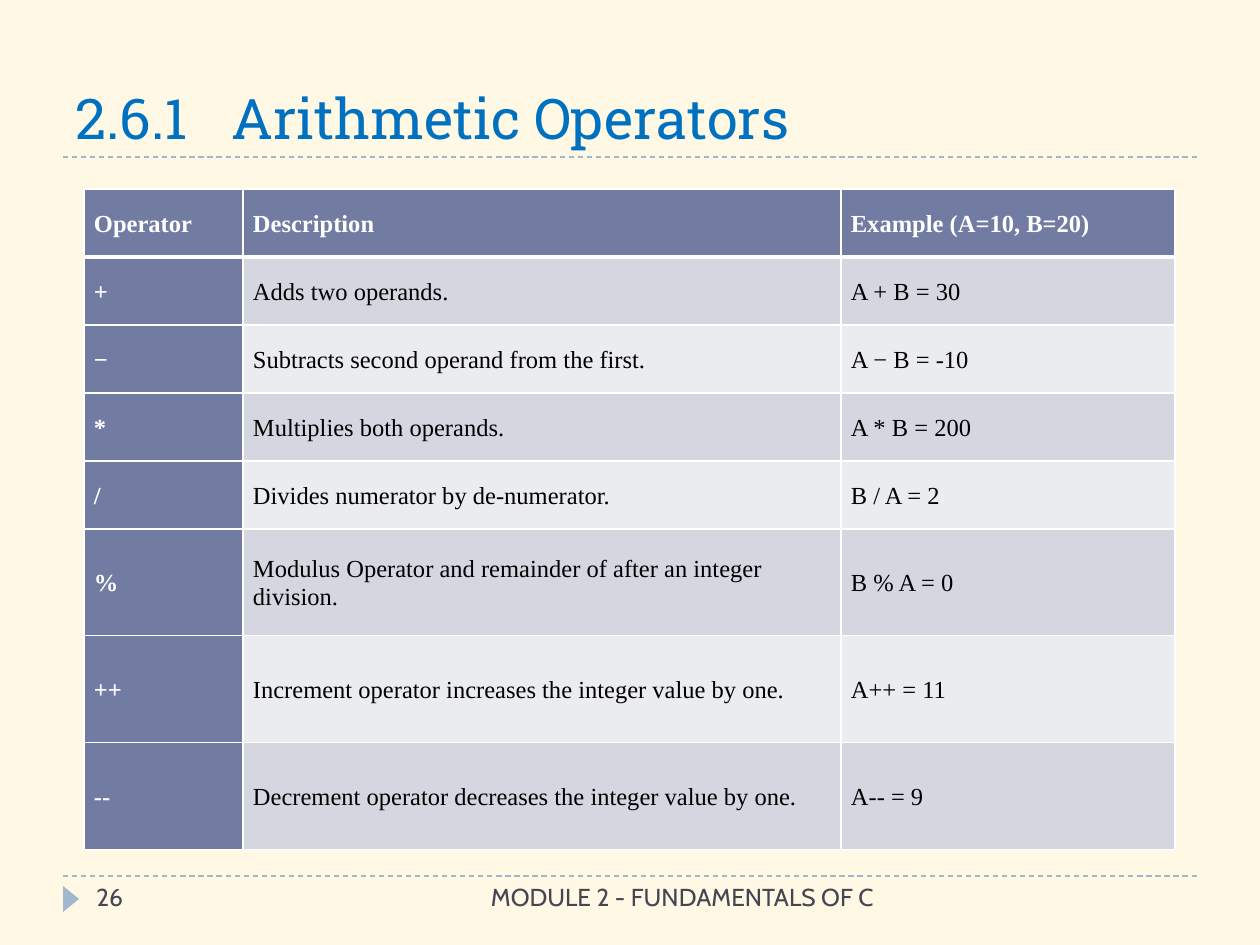
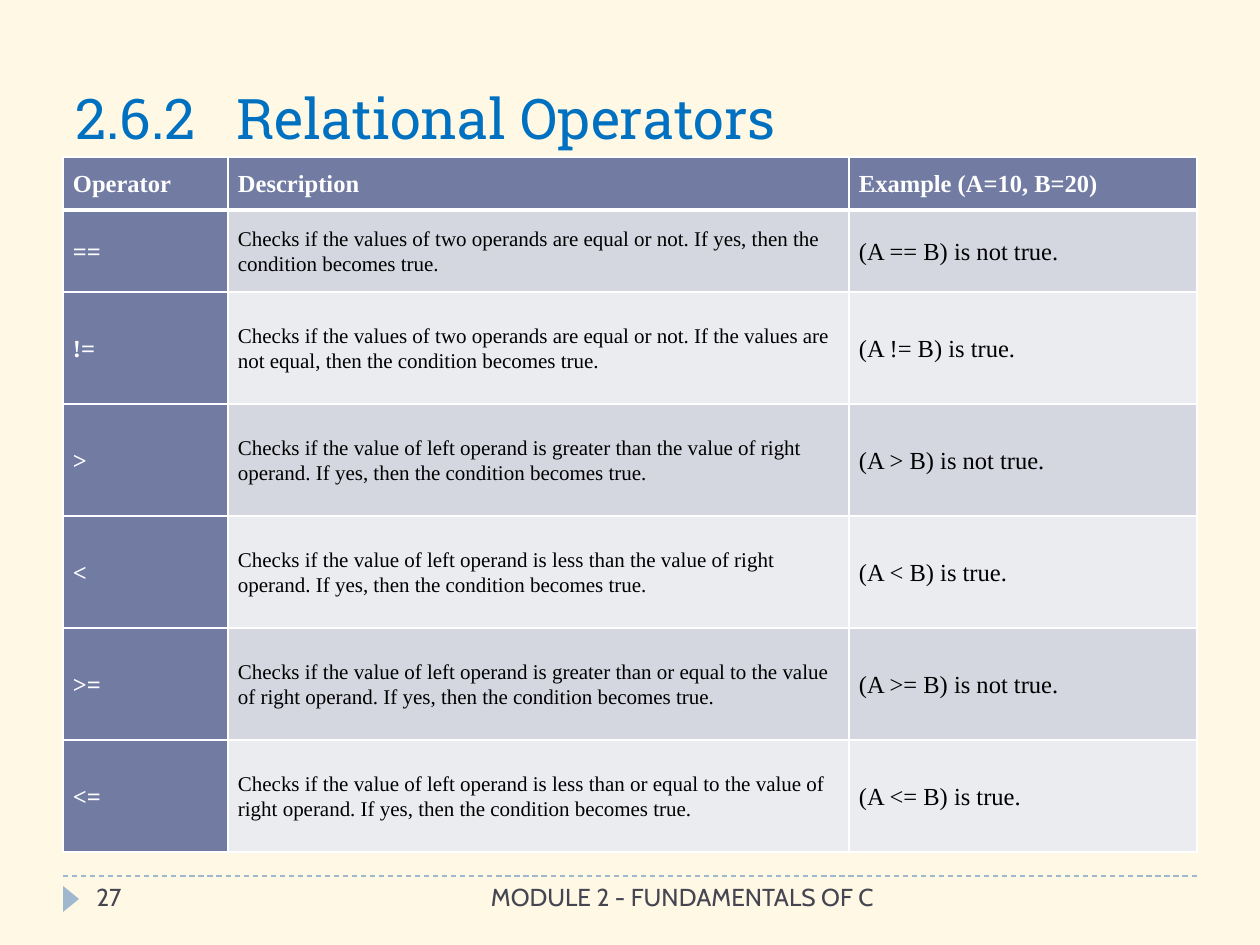
from lxml.etree import SubElement
from pptx import Presentation
from pptx.dml.color import RGBColor
from pptx.enum.dml import MSO_LINE
from pptx.enum.shapes import MSO_CONNECTOR, MSO_SHAPE
from pptx.enum.text import MSO_ANCHOR, MSO_AUTO_SIZE, PP_ALIGN
from pptx.oxml import parse_xml
from pptx.oxml.ns import nsdecls, qn
from pptx.util import Emu, Pt

# Shared colours and fonts
CREAM = RGBColor(0xFE, 0xF8, 0xE4)
TITLE_BLUE = RGBColor(0x00, 0x70, 0xC0)
RULE_BLUE = RGBColor(0x9F, 0xB8, 0xCD)
FOOTER_GREY = RGBColor(0x46, 0x46, 0x53)
HEADER_FILL = RGBColor(0x72, 0x7C, 0xA3)
BAND_DARK = RGBColor(0xD5, 0xD7, 0xE0)
BAND_LIGHT = RGBColor(0xEB, 0xEC, 0xF0)
WHITE = RGBColor(0xFF, 0xFF, 0xFF)
BLACK = RGBColor(0x00, 0x00, 0x00)

TITLE_FONT = {"name": "Roboto Slab", "size": Pt(32), "bold": False}
FOOTER_FONT = {"name": "Cabin", "size": Pt(14)}
TABLE_FONT = {"name": "Times New Roman", "size": Pt(14)}

EMU_PER_PX = 914400 / 126
FOOTER = "MODULE 2 - FUNDAMENTALS OF C"
HEADINGS = ("Operator", "Description", "Example (A=10, B=20)")

ARITHMETIC = [
    ("+", "Adds two operands.", "A + B = 30"),
    ("−", "Subtracts second operand from the first.", "A − B = -10"),
    ("*", "Multiplies both operands.", "A * B = 200"),
    ("/", "Divides numerator by de-numerator.", "B / A = 2"),
    ("%", "Modulus Operator and remainder of after an integer division.", "B % A = 0"),
    ("++", "Increment operator increases the integer value by one.", "A++ = 11"),
    ("--", "Decrement operator decreases the integer value by one.", "A-- = 9"),
]

CHECK = "Checks if the {}, then the condition becomes true."
EQUALITY = "values of two operands are equal or not. If "
COMPARISON = "value of left operand is {} the value of right operand. If yes"
RELATIONAL = [
    (operator, CHECK.format(condition), f"(A {operator} B) is {result}.")
    for operator, condition, result in (
        ("==", EQUALITY + "yes", "not true"),
        ("!=", EQUALITY + "the values are not equal", "true"),
        (">", COMPARISON.format("greater than"), "not true"),
        ("<", COMPARISON.format("less than"), "true"),
        (">=", COMPARISON.format("greater than or equal to"), "not true"),
        ("<=", COMPARISON.format("less than or equal to"), "true"),
    )
]


def px(length):
    return Emu(round(length * EMU_PER_PX))


def apply(target, values):
    for attribute, value in values.items():
        setattr(target, attribute, value)


class Deck:
    """Holds the style and the current slide."""

    def __init__(self):
        self.prs = Presentation()
        apply(self.prs, {"slide_width": px(1260), "slide_height": px(945)})
        background = self.prs.slide_master.background.fill
        background.solid()
        background.fore_color.rgb = CREAM

    def start_slide(self, number, section, topic, topic_stop):
        self.slide = self.prs.slides.add_slide(self.prs.slide_layouts[5])
        for y in (157, 876):
            self.rule(y)
        self.marker()
        self.title(section, topic, topic_stop)
        self.label(FOOTER, 399, 493, PP_ALIGN.RIGHT, 18)
        self.label(str(number), 84, 273, PP_ALIGN.LEFT, 13)

    def add_text(self, paragraph, text, font, color):
        run = paragraph.add_run()
        run.text = text
        apply(run.font, font)
        run.font.color.rgb = color

    def rule(self, y):
        rule = self.slide.shapes.add_connector(
            MSO_CONNECTOR.STRAIGHT, px(63), px(y), px(1197), px(y))
        apply(rule.line, {"width": Pt(0.75), "dash_style": MSO_LINE.DASH})
        rule.line.color.rgb = RULE_BLUE
        SubElement(rule._element.spPr, qn("a:effectLst"))

    def marker(self):
        marker = self.slide.shapes.add_shape(
            MSO_SHAPE.ISOSCELES_TRIANGLE, px(58), px(891), px(26), px(16))
        marker.rotation = 90
        marker.shadow.inherit = False
        marker.fill.solid()
        marker.fill.fore_color.rgb = RULE_BLUE
        marker.line.fill.background()

    def title(self, section, topic, topic_stop):
        title = self.slide.shapes.title
        apply(title, {"left": px(63), "top": px(21), "width": px(1134), "height": px(136)})
        apply(title.text_frame, {"vertical_anchor": MSO_ANCHOR.BOTTOM,
                                 "auto_size": MSO_AUTO_SIZE.NONE, "word_wrap": True})
        paragraph = title.text_frame.paragraphs[0]
        paragraph.alignment = PP_ALIGN.LEFT
        # The tab stop sets the gap between section number and topic
        tabs = SubElement(paragraph._p.get_or_add_pPr(), qn("a:tabLst"))
        SubElement(tabs, qn("a:tab"), pos=str(px(topic_stop)), algn="l")
        self.add_text(paragraph, f"{section}\t{topic}", TITLE_FONT, TITLE_BLUE)

    def label(self, text, left, width, alignment, right_inset):
        label = self.slide.shapes.add_textbox(px(left), px(876), px(width), px(50))
        apply(label.text_frame, {"word_wrap": True, "margin_right": px(right_inset)})
        paragraph = label.text_frame.paragraphs[0]
        paragraph.alignment = alignment
        self.add_text(paragraph, text, FOOTER_FONT, FOOTER_GREY)

    def table(self, left, top, widths, heights, records, description_size):
        table = self.slide.shapes.add_table(
            len(heights), len(widths), px(left), px(top),
            px(sum(widths)), px(sum(heights))).table
        table.horz_banding = False
        for column, width in zip(table.columns, widths):
            column.width = px(width)
        for row, height in zip(table.rows, heights):
            row.height = px(height)
        for r, record in enumerate([HEADINGS, *records]):
            for c, text in enumerate(record):
                size = Pt(description_size) if r and c == 1 else Pt(14)
                self.cell(table.cell(r, c), text, r, c, size)

    def cell(self, cell, text, r, c, size):
        heading = r == 0 or c == 0
        apply(cell, {"vertical_anchor": MSO_ANCHOR.MIDDLE, "margin_left": px(10),
                     "margin_right": px(10), "margin_top": px(10), "margin_bottom": px(10)})
        cell.fill.solid()
        band = BAND_DARK if r % 2 else BAND_LIGHT
        cell.fill.fore_color.rgb = HEADER_FILL if heading else band
        paragraph = cell.text_frame.paragraphs[0]
        paragraph.line_spacing = 1.07
        self.add_text(paragraph, text, {**TABLE_FONT, "size": size, "bold": heading},
                      WHITE if heading else BLACK)
        # White borders, thicker between the header and the first record
        thick = {(0, "B"), (1, "T")}
        for position, side in enumerate("LRTB"):
            width = Pt(3 if (r, side) in thick else 1)
            cell._tc.get_or_add_tcPr().insert(position, parse_xml(
                f'<a:ln{side} {nsdecls("a")} w="{width}"><a:solidFill>'
                f'<a:srgbClr val="{WHITE}"/></a:solidFill></a:ln{side}>'))


def main():
    deck = Deck()

    # Arithmetic operators
    deck.start_slide(26, "2.6.1", "Arithmetic Operators", 156)
    deck.table(84, 189, (159, 598, 334), [68] * 5 + [107] * 3, ARITHMETIC, 14)

    # Relational operators
    deck.start_slide(27, "2.6.2", "Relational Operators", 161)
    deck.table(63, 157, (165, 621, 348), [53, 82] + [112] * 5, RELATIONAL, 12)

    deck.prs.save("out.pptx")


if __name__ == "__main__":
    main()
